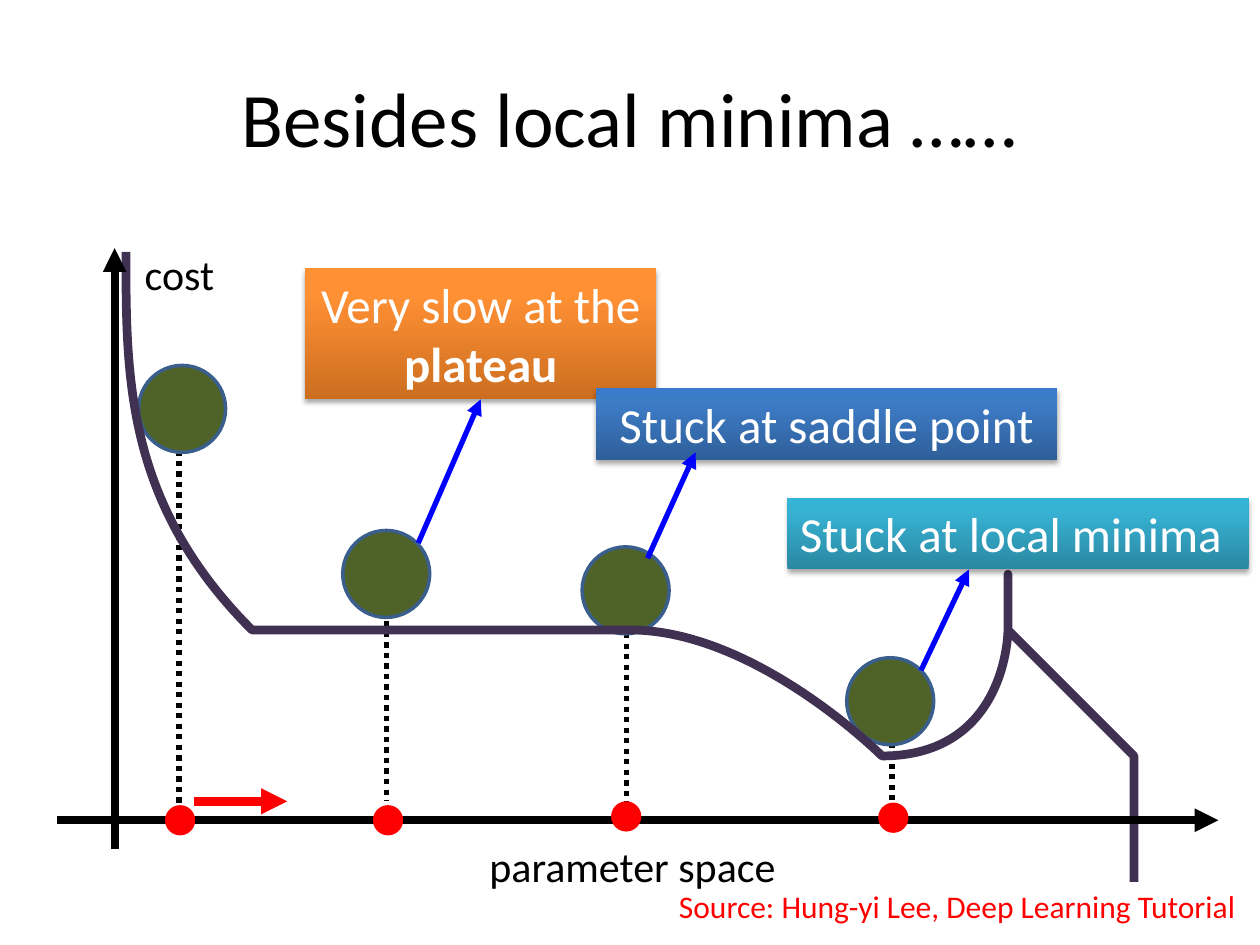
import copy

import pptx
import pptx.dml.color
import pptx.enum.dml
import pptx.enum.shapes
import pptx.enum.text
import pptx.oxml
import pptx.oxml.ns
import pptx.util
from pptx.util import Inches

COLORS = {
    "black": "000000", "white": "FFFFFF", "red": "FF0000", "blue": "0000FF",
    "ball": "4F6228", "ball edge": "3A5F8C", "curve": "403152",
}
ORANGE = ("CC6E20", "FF9034", "FF9136")
NAVY = ("2F5F99", "3D7CC7", "3A7CCB")
TEAL = ("2A88A2", "37B1D2", "34B4D6")
SHADOW = (
    '<a:effectLst %s><a:outerShdw blurRad="39370" dist="22860" dir="5400000" rotWithShape="0">'
    '<a:srgbClr val="000000"><a:alpha val="35000"/></a:srgbClr></a:outerShdw></a:effectLst>'
    % pptx.oxml.ns.nsdecls("a"))

rgb = pptx.dml.color.RGBColor.from_string
qn = pptx.oxml.ns.qn
SHAPE = pptx.enum.shapes.MSO_SHAPE
ALIGN = pptx.enum.text.PP_ALIGN
ANCHOR = pptx.enum.text.MSO_ANCHOR
STRAIGHT = pptx.enum.shapes.MSO_CONNECTOR.STRAIGHT

presentation = pptx.Presentation()
presentation.slide_width = Inches(10)
presentation.slide_height = Inches(7.5)
slide = presentation.slides.add_slide(presentation.slide_layouts[6])
shapes = slide.shapes


def add_line(start, end, color, width, dotted=False):
    """Draw a straight line: dotted, or else with an arrowhead at its end."""
    line = shapes.add_connector(STRAIGHT, *map(Inches, start + end))
    line.line.color.rgb = rgb(COLORS[color])
    line.line.width = pptx.util.Pt(width)
    properties = line._element.spPr
    if dotted:
        line.line.dash_style = pptx.enum.dml.MSO_LINE.ROUND_DOT
    else:
        head = pptx.oxml.parse_xml('<a:tailEnd %s type="triangle"/>' % pptx.oxml.ns.nsdecls("a"))
        properties.find(qn("a:ln")).append(head)
    properties.append(pptx.oxml.parse_xml("<a:effectLst %s/>" % pptx.oxml.ns.nsdecls("a")))
    return line


def write_text(shape, text, size, color, align=ALIGN.CENTER, wrap=True, anchor=ANCHOR.TOP):
    frame = shape.text_frame
    frame.text = text
    frame.word_wrap = wrap
    frame.vertical_anchor = anchor
    paragraph = frame.paragraphs[0]
    paragraph.alignment = align
    paragraph.font.name = "Calibri"
    paragraph.font.size = pptx.util.Pt(size)
    paragraph.font.color.rgb = rgb(COLORS[color])
    return paragraph


# Dotted drops from the balls to the parameter axis
for x, top, bottom in [(7.08, 5.56, 6.36), (4.97, 4.44, 6.37), (3.07, 4.43, 6.36), (1.42, 3.24, 6.39)]:
    add_line((x, top), (x, bottom), "black", 3, dotted=True)

# Balls; the one in the local minimum lies behind the curve
BALL = 0.69
balls = []
for left, top in [(6.72, 5.22), (4.62, 4.34), (1.1, 2.9), (2.72, 4.21)]:
    ball = shapes.add_shape(SHAPE.OVAL, Inches(left), Inches(top), Inches(BALL), Inches(BALL))
    ball.shadow.inherit = False
    ball.fill.solid()
    ball.fill.fore_color.rgb = rgb(COLORS["ball"])
    ball.line.color.rgb = rgb(COLORS["ball edge"])
    ball.line.width = pptx.util.Pt(2)
    balls.append(ball)

# Cost curve: a start point, then three Bezier points for each segment
curve_points = [
    (0.66, 2.09),
    (0.9, 3.13), (1.41, 4.03), (2.12, 4.52),
    (2.84, 5.01), (4.09, 5.04), (4.92, 5.04),
    (5.76, 5.04), (6.6, 5.92), (7.06, 5.93),
    (7.51, 5.94), (7.5, 5.31), (7.68, 5.1),
    (7.85, 4.9), (7.86, 4.48), (8.1, 4.7),
    (8.33, 4.93), (8.89, 6.13), (9.1, 6.45),
    (9.3, 6.77), (9.31, 6.7), (9.31, 6.63),
]
builder = shapes.build_freeform(*curve_points[0], scale=Inches(1) / 1.0)
builder.add_line_segments(curve_points[1:], close=False)
curve = builder.convert_to_shape()
curve.shadow.inherit = False
curve.fill.background()
curve.line.color.rgb = rgb(COLORS["curve"])
curve.line.width = pptx.util.Pt(5)
outline = next(curve._element.iter(qn("a:path")))
segments = outline.findall(qn("a:lnTo"))
for first in range(0, len(segments), 3):
    bezier = pptx.oxml.parse_xml("<a:cubicBezTo %s/>" % pptx.oxml.ns.nsdecls("a"))
    for segment in segments[first:first + 3]:
        bezier.append(segment[0])
        outline.remove(segment)
    outline.append(bezier)

# Axes and the direction of descent
add_line((1.54, 6.36), (2.28, 6.36), "red", 5)
add_line((0.45, 6.51), (9.67, 6.51), "black", 4.5)
add_line((0.91, 6.74), (0.91, 1.97), "black", 4.5)

# Plain text
for text, box, size, color, align, wrap, anchor in [
    ("Besides local minima ……", (0.5, 0.3, 9, 1.25), 44, "black", ALIGN.CENTER, True, ANCHOR.MIDDLE),
    ("cost", (1.01, 1.92, 0.83, 0.5), 24, "black", ALIGN.CENTER, True, ANCHOR.TOP),
    ("parameter space", (3.63, 6.62, 2.78, 0.5), 24, "black", ALIGN.CENTER, True, ANCHOR.TOP),
    ("Source: Hung-yi Lee, Deep Learning Tutorial", (5.29, 6.99, 4.68, 0.4), 18, "red",
     ALIGN.LEFT, False, ANCHOR.TOP),
]:
    write_text(shapes.add_textbox(*map(Inches, box)), text, size, color, align, wrap, anchor)

# Callouts
callouts = []
for text, box, gradient, align in [
    ("Very slow at the ", (2.42, 2.13, 2.79, 1.04), ORANGE, ALIGN.CENTER),
    ("Stuck at local minima", (6.25, 3.95, 3.66, 0.57), TEAL, ALIGN.LEFT),
    ("Stuck at saddle point", (4.73, 3.08, 3.66, 0.57), NAVY, ALIGN.CENTER),
]:
    callout = shapes.add_shape(SHAPE.RECTANGLE, *map(Inches, box))
    callout.line.fill.background()
    callout.fill.gradient()
    callout.fill.gradient_angle = 90
    stop_list = next(callout._element.spPr.iter(qn("a:gsLst")))
    stop_list.append(copy.deepcopy(stop_list[-1]))
    for stop, position, color in zip(callout.fill.gradient_stops, (0, 0.8, 1), gradient):
        stop.position = position
        stop.color.rgb = rgb(color)
    callout._element.spPr.append(pptx.oxml.parse_xml(SHADOW))
    paragraph = write_text(callout, text, 28, "white", align)
    callouts.append(callout)
    if gradient is ORANGE:
        plateau = paragraph.add_run()
        plateau.text = "plateau"
        plateau.font.bold = True

# Arrows from the balls to their callouts
add_line((7.31, 5.32), (7.69, 4.52), "blue", 3)
add_line((5.14, 4.43), (5.52, 3.59), "blue", 3)
plateau_arrow = add_line((3.32, 4.31), (3.81, 3.17), "blue", 3)
plateau_arrow.end_connect(callouts[0], 2)

# Parameter values on the axis
DOT = 0.24
for left, top in [(1.31, 6.39), (2.96, 6.39), (4.85, 6.36), (6.97, 6.37)]:
    dot = shapes.add_shape(SHAPE.OVAL, Inches(left), Inches(top), Inches(DOT), Inches(DOT))
    dot.shadow.inherit = False
    dot.fill.solid()
    dot.fill.fore_color.rgb = rgb(COLORS["red"])
    dot.line.fill.background()

presentation.save("out.pptx")
